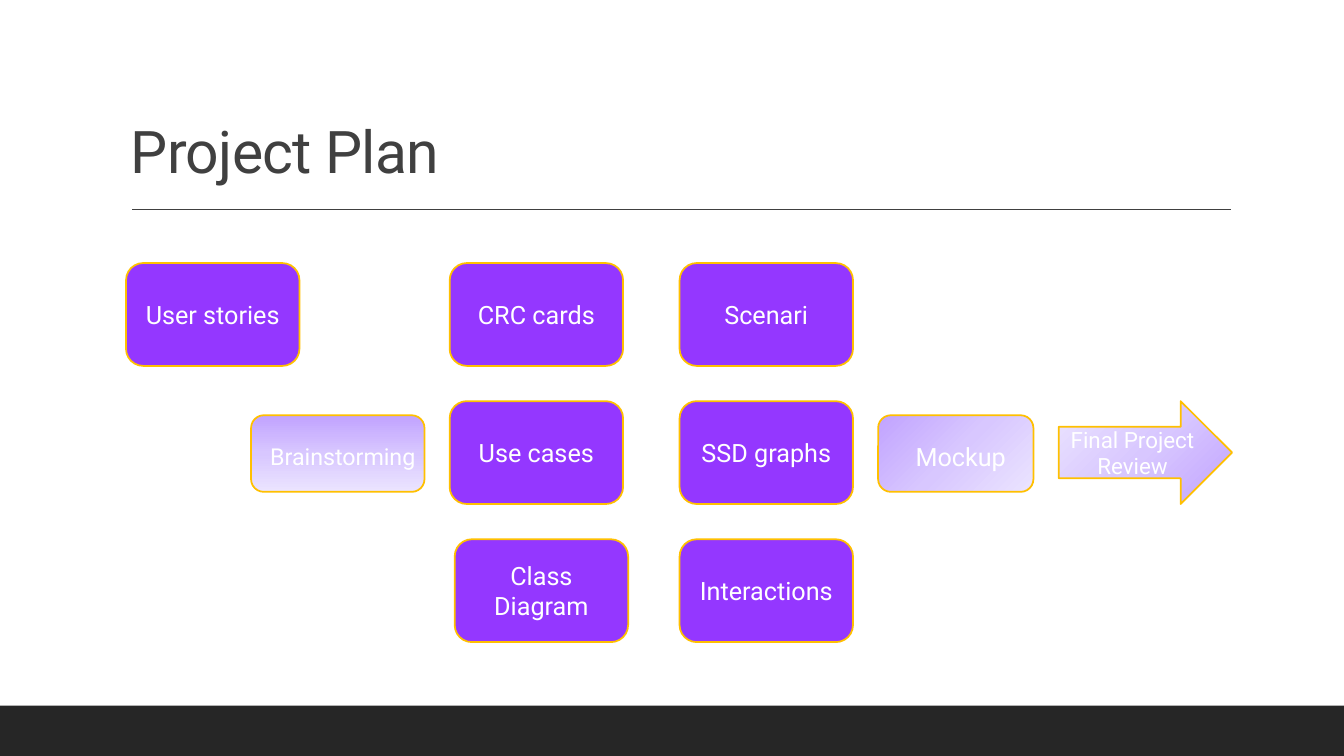
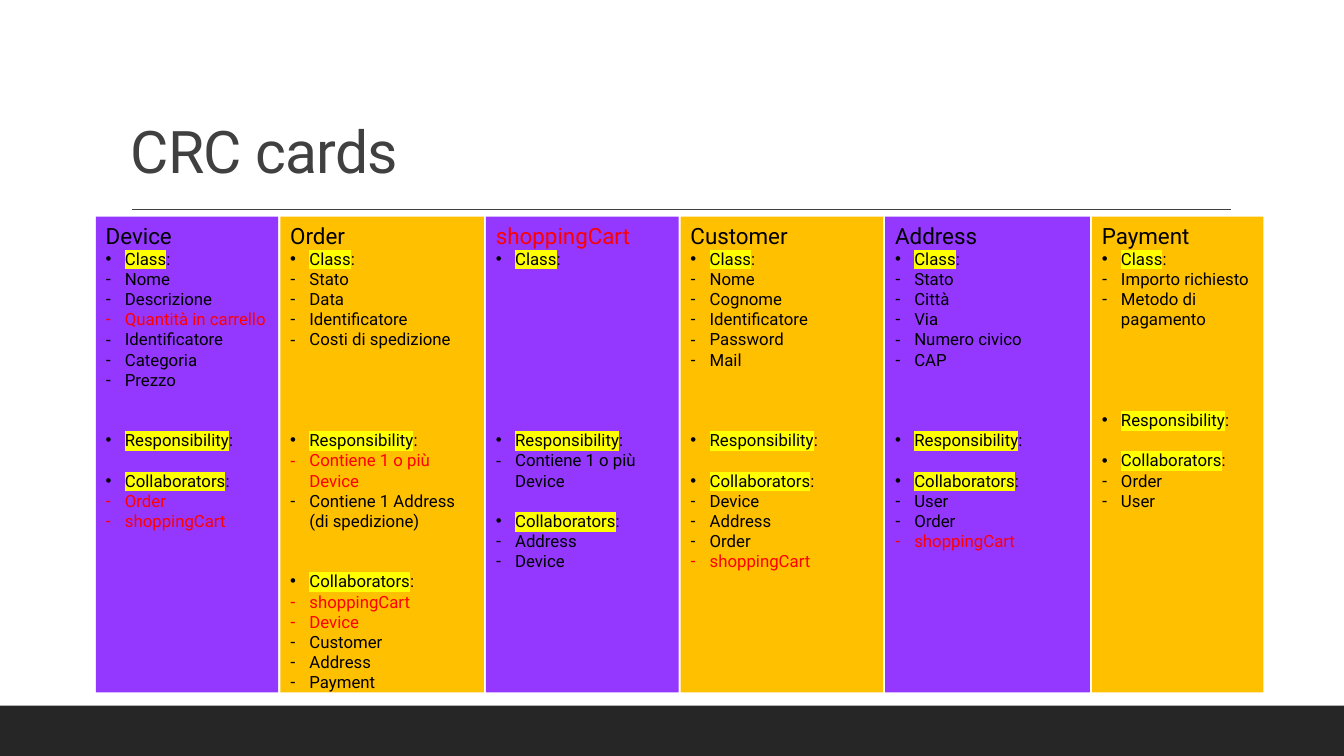
from lxml import etree
from pptx import Presentation
from pptx.dml.color import RGBColor
from pptx.enum.shapes import MSO_CONNECTOR, MSO_SHAPE
from pptx.enum.text import MSO_ANCHOR, PP_ALIGN
from pptx.oxml.ns import qn
from pptx.util import Inches, Pt

RECT, ROUNDED, ARROW = MSO_SHAPE.RECTANGLE, MSO_SHAPE.ROUNDED_RECTANGLE, MSO_SHAPE.RIGHT_ARROW
STRAIGHT = MSO_CONNECTOR.STRAIGHT
TOP, MIDDLE, BOTTOM = MSO_ANCHOR.TOP, MSO_ANCHOR.MIDDLE, MSO_ANCHOR.BOTTOM
LEFT, CENTER = PP_ALIGN.LEFT, PP_ALIGN.CENTER

FONT = "Roboto"
PURPLE, AMBER, RED, YELLOW = "9437FF", "FFC000", "FF0000", "FFFF00"
BLACK, WHITE, GREY, DARK = "000000", "FFFFFF", "404040", "262626"
FADE = [(0, "C1A3FF"), (50, "D8C7FF"), (100, "EBE4FF")]
CARD_LINE = 14.4  # height of one 12 pt line on a card, in points


def rgb(code):
    return RGBColor.from_string(code)


def add_run(paragraph, text, size, color, highlight=None):
    run = paragraph.add_run()
    run.text = text
    run.font.size = Pt(size)
    run.font.color.rgb = rgb(color)
    run.font.name = FONT
    if highlight:
        mark = etree.Element(qn("a:highlight"))
        etree.SubElement(mark, qn("a:srgbClr"), val=highlight)
        run.font._element.find(qn("a:solidFill")).addnext(mark)
    return run


def add_block(slide, preset, box, fill=None, outline=None):
    shape = slide.shapes.add_shape(preset, *map(Inches, box))
    shape.shadow.inherit = False
    if fill:
        shape.fill.solid()
        shape.fill.fore_color.rgb = rgb(fill)
    if outline:
        shape.line.color.rgb = rgb(outline)
        shape.line.width = Pt(1.25)
    else:
        shape.line.fill.background()
    shape.text_frame.word_wrap = True
    return shape


def fade_fill(shape, angle):
    """Three-stop gradient; the angle runs clockwise."""
    shape.fill.gradient()
    shape.fill.gradient_angle = 360 - angle
    stops = shape._element.spPr.find(".//" + qn("a:gsLst"))
    for old in list(stops):
        stops.remove(old)
    for percent, color in FADE:
        stop = etree.SubElement(stops, qn("a:gs"), pos=str(percent * 1000))
        etree.SubElement(stop, qn("a:srgbClr"), val=color)


def add_base_slide(prs, title):
    """Dark footer band, title and the rule below it."""
    slide = prs.slides.add_slide(prs.slide_layouts[6])
    add_block(slide, RECT, (0, 7, 13.33, 0.5), DARK)

    rule = slide.shapes.add_connector(
        STRAIGHT, Inches(1.31), Inches(2.08), Inches(12.21), Inches(2.08))
    rule.line.color.rgb = rgb(GREY)
    rule.line.width = Pt(1)
    etree.SubElement(rule._element.spPr, qn("a:effectLst"))

    heading = slide.shapes.add_textbox(*map(Inches, (1.2, 0.31, 11, 1.59))).text_frame
    heading.word_wrap = True
    heading.vertical_anchor = BOTTOM
    paragraph = heading.paragraphs[0]
    paragraph.line_spacing = 0.9
    run = add_run(paragraph, title, 42, GREY)
    run.font._element.set("spc", "-50")
    return slide


# Project plan

def add_step(slide, preset, box, label, size=18, fade=None):
    step = add_block(slide, preset, box, None if fade is not None else PURPLE, AMBER)
    if fade is not None:
        fade_fill(step, fade)
    frame = step.text_frame
    frame.vertical_anchor = MIDDLE
    paragraph = frame.paragraphs[0]
    paragraph.alignment = CENTER
    add_run(paragraph, label, size, WHITE)
    return step


def add_milestone(slide, box, label, size, fade):
    frame = add_step(slide, ROUNDED, box, label, size, fade).text_frame
    frame.margin_left, frame.margin_right = Inches(0.1), 0
    frame.paragraphs[0].line_spacing = 1.2
    frame.paragraphs[0].space_after = Pt(2)


def build_plan(prs):
    slide = add_base_slide(prs, "Project Plan")
    top, pitch, width, height = 2.61, 1.37, 1.72, 1.02
    steps = [
        (1.25, 0, "User stories"),
        (4.46, 0, "CRC cards"),
        (4.46, 1, "Use cases"),
        (4.51, 2, "Class Diagram"),
        (6.74, 0, "Scenari"),
        (6.74, 1, "SSD graphs"),
        (6.74, 2, "Interactions"),
    ]
    for left, row, label in steps:
        add_step(slide, ROUNDED, (left, top + row * pitch, width, height), label)

    add_milestone(slide, (2.49, 4.12, width, 0.76), "Brainstorming", 16.6, 90)
    add_milestone(slide, (8.71, 4.12, 1.54, 0.76), "Mockup", 18, 45)
    add_step(slide, ARROW, (10.5, top + pitch, width, height), "Final Project Review", 16, 225)


# CRC cards

def red(text):
    return text, RED


SECTIONS = ("Class", "Responsibility", "Collaborators")
# Name, then per section: free lines above it and its items
CARDS = [
    ("Device",
     (0, ["Nome", "Descrizione", red("Quantità in carrello"), "Identificatore",
          "Categoria", "Prezzo"]),
     (2, []),
     (1, [red("Order"), red("shoppingCart")])),
    ("Order",
     (0, ["Stato", "Data", "Identificatore", "Costi di spedizione"]),
     (4, [red("Contiene 1 o più Device"), "Contiene 1 Address (di spedizione)"]),
     (2, [red("shoppingCart"), red("Device"), "Customer", "Address", "Payment"])),
    (red("shoppingCart"),
     (0, []),
     (8, ["Contiene 1 o più Device"]),
     (1, ["Address", "Device"])),
    ("Customer",
     (0, ["Nome", "Cognome", "Identificatore", "Password", "Mail"]),
     (3, []),
     (1, ["Device", "Address", "Order", red("shoppingCart")])),
    ("Address",
     (0, ["Stato", "Città", "Via", "Numero civico", "CAP"]),
     (3, []),
     (1, ["User", "Order", red("shoppingCart")])),
    ("Payment",
     (0, ["Importo richiesto", "Metodo di pagamento"]),
     (4, []),
     (1, ["Order", "User"])),
]


def text_and_color(entry):
    return entry if isinstance(entry, tuple) else (entry, BLACK)


def add_bullet(frame, sign):
    paragraph = frame.add_paragraph()
    paragraph.alignment = LEFT
    props = paragraph._p.get_or_add_pPr()
    props.set("marL", str(Inches(0.19)))
    props.set("indent", str(-Inches(0.19)))
    etree.SubElement(props, qn("a:buFont"), typeface="Arial")
    etree.SubElement(props, qn("a:buChar"), char=sign)
    return paragraph


def add_card(slide, box, fill, name, sections):
    frame = add_block(slide, RECT, box, fill).text_frame
    frame.vertical_anchor = TOP
    frame.paragraphs[0].alignment = LEFT
    text, color = text_and_color(name)
    add_run(frame.paragraphs[0], text, 16, color)
    for label, (free_lines, items) in zip(SECTIONS, sections):
        head = add_bullet(frame, "•")
        if free_lines:
            head.space_before = Pt(free_lines * CARD_LINE)
        add_run(head, label, 12, BLACK, YELLOW)
        add_run(head, ":", 12, BLACK)
        for item in items:
            text, color = text_and_color(item)
            add_run(add_bullet(frame, "-"), text, 12, color)


def build_cards(prs):
    slide = add_base_slide(prs, "CRC cards")
    gap = 0.02
    edges = [0.95, 2.78, 4.82, 6.75, 8.78, 10.83, 12.55]
    for index, (name, *sections) in enumerate(CARDS):
        left, following = edges[index:index + 2]
        box = (left, 2.15, following - left - gap, 4.72)
        add_card(slide, box, (PURPLE, AMBER)[index % 2], name, sections)


def main():
    prs = Presentation()
    prs.slide_width, prs.slide_height = Inches(13.33), Inches(7.5)
    build_plan(prs)
    build_cards(prs)
    prs.save("out.pptx")


if __name__ == "__main__":
    main()
